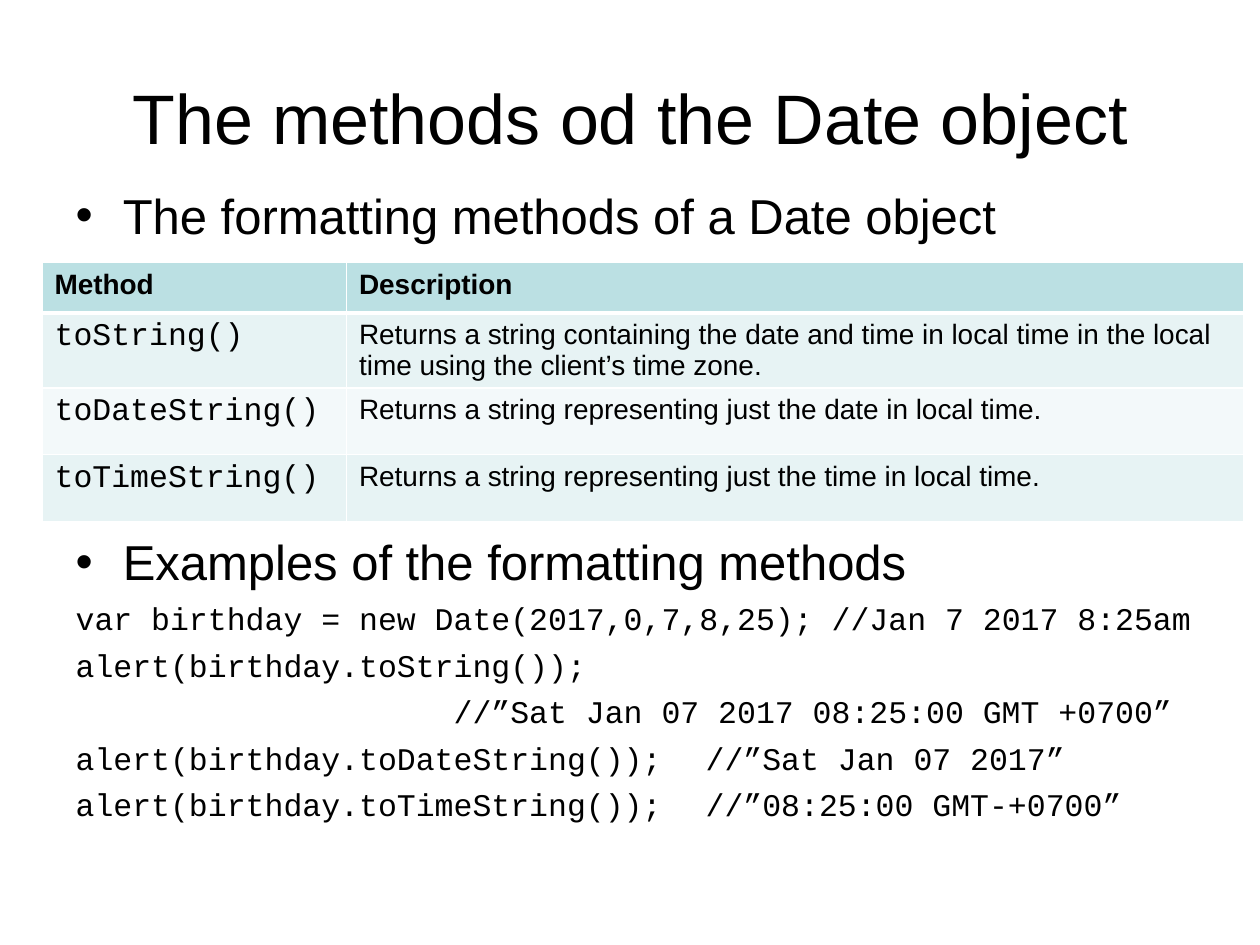
from dataclasses import dataclass

from lxml import etree
from pptx import Presentation
from pptx.dml.color import RGBColor
from pptx.enum.text import MSO_ANCHOR, MSO_AUTO_SIZE, PP_ALIGN
from pptx.oxml.ns import qn
from pptx.util import Pt


@dataclass(frozen=True)
class Theme:
    """Fonts, type sizes and colours of the slide."""
    sans: str = "Arial"
    mono: str = "Courier New"
    title: int = 40
    bullet: int = 28
    code: int = 18
    cell: int = 16
    ink: str = "000000"
    rule: str = "FFFFFF"
    header: str = "BBE0E3"
    bands: tuple = ("E7F3F4", "F3F9FA")


THEME = Theme()

METHODS = [
    ("toString()", "Returns a string containing the date and time in local time "
                   "in the local time using the client’s time zone."),
    ("toDateString()", "Returns a string representing just the date in local time."),
    ("toTimeString()", "Returns a string representing just the time in local time."),
]

# Text and left indent in points
CODE = [
    ("var birthday = new Date(2017,0,7,8,25); //Jan 7 2017 8:25am", 0),
    ("alert(birthday.toString());", 0),
    ("//”Sat Jan 07 2017 08:25:00 GMT +0700”", 216),
    ("alert(birthday.toDateString());\t//”Sat Jan 07 2017”", 0),
    ("alert(birthday.toTimeString());\t//”08:25:00 GMT-+0700”", 0),
]
TABLE_GAP = 164.4


def place(shape, left, top, width, height):
    """Move and size a shape, in points."""
    shape.left, shape.top = Pt(left), Pt(top)
    shape.width, shape.height = Pt(width), Pt(height)


def write(paragraph, text, font, size, bold=False):
    """Add one formatted run to a paragraph."""
    run = paragraph.add_run()
    run.text = text
    run.font.name, run.font.size, run.font.bold = font, Pt(size), bold
    run.font.color.rgb = RGBColor.from_string(THEME.ink)


def set_list_style(paragraph, margin, indent, before, bullet=None):
    """Set indents, space before and the bullet of a paragraph."""
    paragraph.space_before = Pt(before)
    props = paragraph._p.get_or_add_pPr()
    props.set("marL", str(Pt(margin)))
    props.set("indent", str(Pt(indent)))
    if bullet:
        etree.SubElement(props, qn("a:buFont"), typeface=THEME.sans)
        etree.SubElement(props, qn("a:buChar"), char=bullet)
    else:
        etree.SubElement(props, qn("a:buNone"))


def fill_title(title, text):
    """Place and write the slide title."""
    place(title, 36, 21.6, 648, 90)
    frame = title.text_frame
    frame.auto_size = MSO_AUTO_SIZE.NONE
    frame.vertical_anchor = MSO_ANCHOR.MIDDLE
    frame.paragraphs[0].alignment = PP_ALIGN.CENTER
    write(frame.paragraphs[0], text, THEME.sans, THEME.title)


def fill_body(body):
    """Write the two bullets and the code lines, leaving room for the table."""
    place(body, 36, 102.2, 684, 401.8)
    frame = body.text_frame
    frame.auto_size = MSO_AUTO_SIZE.NONE
    frame.vertical_anchor = MSO_ANCHOR.TOP
    bullets = [("The formatting methods of a Date object", 5),
               ("Examples of the formatting methods", TABLE_GAP)]
    for number, (text, before) in enumerate(bullets):
        paragraph = frame.add_paragraph() if number else frame.paragraphs[0]
        set_list_style(paragraph, 27, -27, before, "•")
        write(paragraph, text, THEME.sans, THEME.bullet)
    for text, margin in CODE:
        paragraph = frame.add_paragraph()
        set_list_style(paragraph, margin, 0, 5)
        write(paragraph, text, THEME.mono, THEME.code)


def set_borders(cell, bottom):
    """Draw the cell borders, with the given bottom width."""
    props = cell._tc.get_or_add_tcPr()
    for side, width in (("L", 1), ("R", 1), ("T", 1), ("B", bottom)):
        line = etree.SubElement(props, qn("a:ln" + side), w=str(Pt(width)))
        fill = etree.SubElement(line, qn("a:solidFill"))
        etree.SubElement(fill, qn("a:srgbClr"), val=THEME.rule)


def fill_cell(cell, text, font, size, color, header):
    """Write and colour one table cell."""
    write(cell.text_frame.paragraphs[0], text, font, size, header)
    set_borders(cell, 3 if header else 1)
    cell.fill.solid()
    cell.fill.fore_color.rgb = RGBColor.from_string(color)


def add_method_table(slide):
    """Add the table of formatting methods."""
    widths = (174, 512.6)
    heights = [28.8] + [38.2] * len(METHODS)
    table = slide.shapes.add_table(
        len(heights), len(widths), Pt(24), Pt(150),
        Pt(sum(widths)), Pt(sum(heights))).table
    table.first_row = table.horz_banding = False
    for column, width in zip(table.columns, widths):
        column.width = Pt(width)
    for row, height in zip(table.rows, heights):
        row.height = Pt(height)
    for column, text in enumerate(("Method", "Description")):
        fill_cell(table.cell(0, column), text, THEME.sans, THEME.cell,
                  THEME.header, True)
    styles = ((THEME.mono, THEME.code), (THEME.sans, THEME.cell))
    for row, texts in enumerate(METHODS, 1):
        band = THEME.bands[(row - 1) % 2]
        for column, (text, (font, size)) in enumerate(zip(texts, styles)):
            fill_cell(table.cell(row, column), text, font, size, band, False)


def main():
    """Build the slide and save it."""
    deck = Presentation()
    deck.slide_width, deck.slide_height = Pt(720), Pt(540)
    slide = deck.slides.add_slide(deck.slide_layouts[1])
    fill_title(slide.shapes.title, "The methods od the Date object")
    fill_body(slide.placeholders[1])
    add_method_table(slide)
    deck.save("out.pptx")


main()
